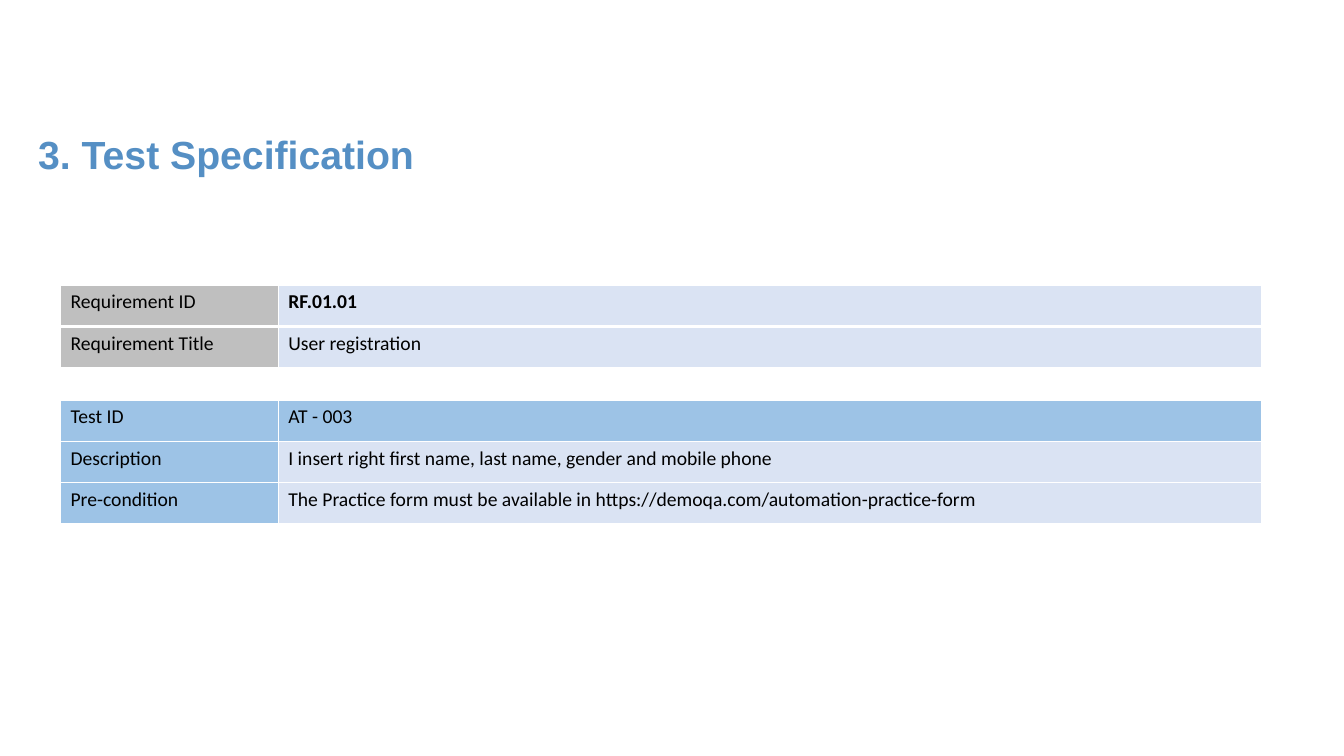
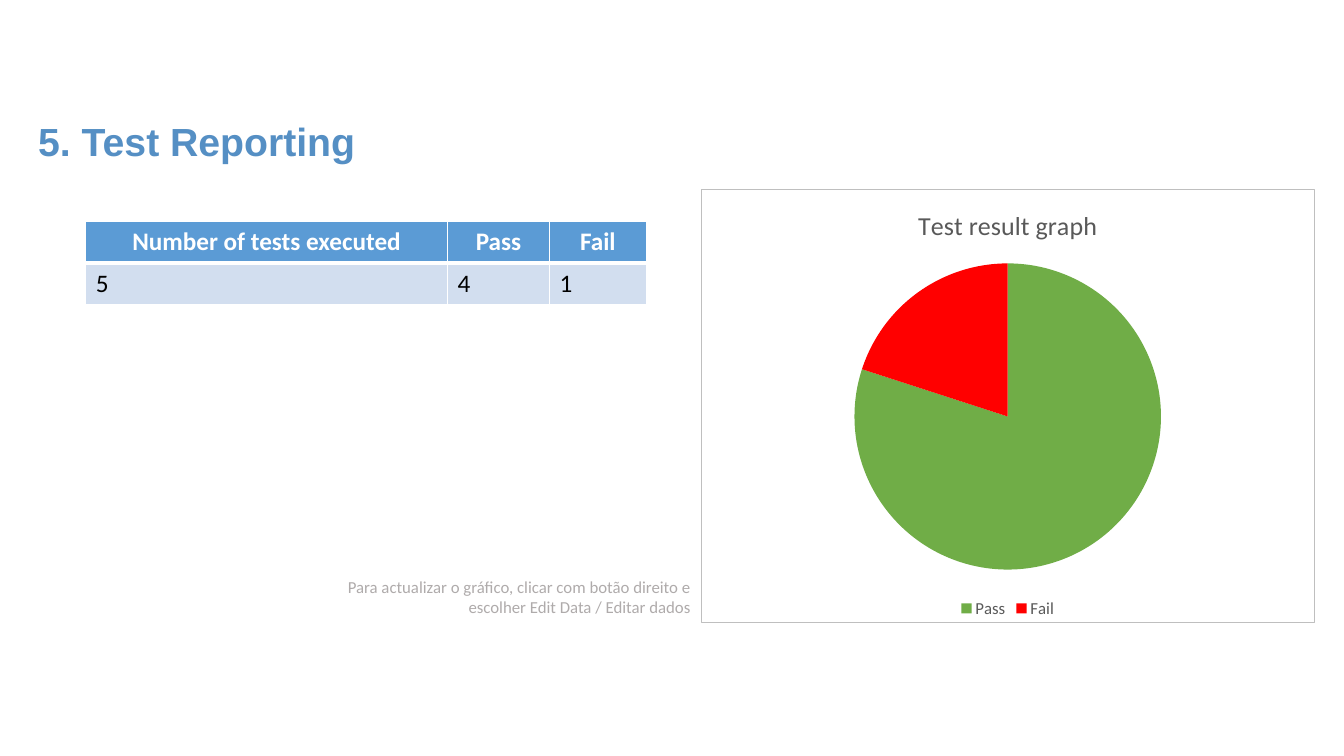
from lxml.etree import SubElement
from pptx import Presentation
from pptx.chart.data import CategoryChartData
from pptx.dml.color import RGBColor
from pptx.enum.chart import XL_CHART_TYPE, XL_LEGEND_POSITION
from pptx.enum.text import MSO_AUTO_SIZE, PP_ALIGN
from pptx.oxml import parse_xml
from pptx.oxml.ns import nsdecls, qn
from pptx.util import Inches, Pt

COLORS = {
    "title": "558FC4",
    "white": "FFFFFF",
    "black": "000000",
    "requirement": "BFBFBF",
    "test": "9DC3E6",
    "value": "DAE3F3",
    "report_header": "5B9BD5",
    "report_row": "D2DEEF",
    "pass": "70AD47",
    "fail": "FF0000",
    "chart_text": "595959",
    "chart_border": "BFBFBF",
    "hint": "AFABAB",
}
BODY_FONT = "Calibri"
TITLE_FONT = "Arial"
THIN, THICK = 1, 3  # table rules, in points
ROW_HEIGHT = 0.41


def rgb(name):
    return RGBColor.from_string(COLORS[name])


def style_font(font, size, color, name=BODY_FONT, bold=False):
    font.name = name
    font.size = Pt(size)
    font.bold = bold
    font.color.rgb = rgb(color)


def add_text(slide, box, text, size, color, align=PP_ALIGN.LEFT, **font):
    frame = slide.shapes.add_textbox(*map(Inches, box)).text_frame
    frame.word_wrap = True
    frame.auto_size = MSO_AUTO_SIZE.SHAPE_TO_FIT_TEXT
    paragraph = frame.paragraphs[0]
    paragraph.text = text
    paragraph.alignment = align
    style_font(paragraph.font, size, color, **font)


def add_title(slide, top, text):
    add_text(slide, (0.28, top, 7.18, 0.57), text, 28, "title",
             name=TITLE_FONT, bold=True)


def set_borders(cell, top, bottom):
    properties = cell._tc.get_or_add_tcPr()
    for side, width in (("L", THIN), ("R", THIN), ("T", top), ("B", bottom)):
        line = SubElement(properties, qn(f"a:ln{side}"), w=str(Pt(width)))
        fill = SubElement(line, qn("a:solidFill"))
        SubElement(fill, qn("a:srgbClr"), val=COLORS["white"])


def add_plain_table(slide, left, top, widths, heights):
    """Add an unbanded table with a thick white rule under its first row."""
    table = slide.shapes.add_table(
        len(heights), len(widths), Inches(left), Inches(top),
        Inches(sum(widths)), Inches(sum(heights))).table
    table.first_row = table.horz_banding = False
    for column, width in zip(table.columns, widths):
        column.width = Inches(width)
    for index, (row, height) in enumerate(zip(table.rows, heights)):
        row.height = Inches(height)
        for cell in row.cells:
            set_borders(cell, THICK if index == 1 else THIN,
                        THICK if index == 0 else THIN)
            cell.fill.background()
    return table


def fill_cell(cell, text, fill, size, color="black", bold=False,
              align=PP_ALIGN.LEFT):
    cell.fill.solid()
    cell.fill.fore_color.rgb = rgb(fill)
    paragraph = cell.text_frame.paragraphs[0]
    paragraph.text = text
    paragraph.alignment = align
    style_font(paragraph.font, size, color, bold=bold)


def add_specification_table(slide):
    # None is the gap between the requirement and its test
    rows = [
        ("Requirement ID", "RF.01.01", "requirement", "value"),
        ("Requirement Title", "User registration", "requirement", "value"),
        None,
        ("Test ID", "AT - 003", "test", "test"),
        ("Description",
         "I insert right first name, last name, gender and mobile phone",
         "test", "value"),
        ("Pre-condition",
         "The Practice form must be available in "
         "https://demoqa.com/automation-practice-form", "test", "value"),
    ]
    heights = [ROW_HEIGHT if row else 0.32 for row in rows]
    table = add_plain_table(slide, 0.6, 2.83, (2.16, 9.75), heights)
    for index, row in enumerate(rows):
        label_cell, value_cell = table.rows[index].cells
        if row is None:
            for cell in (label_cell, value_cell):
                cell.margin_top = cell.margin_bottom = 0
            continue
        label, value, label_fill, value_fill = row
        fill_cell(label_cell, label, label_fill, 14)
        fill_cell(value_cell, value, value_fill, 14, bold=index == 0)


def add_report_table(slide):
    results = [("Number of tests executed", "5"), ("Pass", "4"), ("Fail", "1")]
    table = add_plain_table(slide, 0.85, 2.2, (3.59, 1.01, 0.96),
                            [ROW_HEIGHT] * 2)
    for column, (heading, count) in enumerate(results):
        fill_cell(table.cell(0, column), heading, "report_header", 18,
                  "white", bold=True, align=PP_ALIGN.CENTER)
        fill_cell(table.cell(1, column), count, "report_row", 18)


def add_result_chart(slide):
    data = CategoryChartData()
    data.categories = ["Pass", "Fail"]
    data.add_series("Series 1", (80, 20))
    chart = slide.shapes.add_chart(
        XL_CHART_TYPE.PIE, *map(Inches, (6.95, 1.87, 6.09, 4.31)), data).chart
    style_font(chart.font, 10, "black")

    # Title and legend
    chart.has_title = True
    heading = chart.chart_title.text_frame.paragraphs[0]
    heading.text = "Test result graph"
    style_font(heading.font, 18.6, "chart_text")
    chart.chart_title.include_in_layout = False
    chart.has_legend = True
    chart.legend.position = XL_LEGEND_POSITION.BOTTOM
    chart.legend.include_in_layout = False
    style_font(chart.legend.font, 12, "chart_text")

    # Slices
    pie = chart.plots[0]
    pie.vary_by_categories = True
    for index, color in enumerate(("pass", "fail")):
        slice_fill = pie.series[0].points[index].format.fill
        slice_fill.solid()
        slice_fill.fore_color.rgb = rgb(color)

    # Plot position, as fractions of the chart
    plot_area = chart._chartSpace.chart.plotArea
    for old_layout in plot_area.findall(qn("c:layout")):
        plot_area.remove(old_layout)
    plot_area.insert(0, parse_xml(
        f'<c:layout {nsdecls("c")}><c:manualLayout>'
        '<c:layoutTarget val="inner"/>'
        '<c:xMode val="edge"/><c:yMode val="edge"/>'
        '<c:x val="0.25"/><c:y val="0.17"/>'
        '<c:w val="0.5"/><c:h val="0.71"/>'
        '</c:manualLayout></c:layout>'))

    # Frame around the chart
    chart._chartSpace.chart.addnext(parse_xml(
        f'<c:spPr {nsdecls("c", "a")}>'
        f'<a:solidFill><a:srgbClr val="{COLORS["white"]}"/></a:solidFill>'
        f'<a:ln w="{Pt(0.75)}"><a:solidFill>'
        f'<a:srgbClr val="{COLORS["chart_border"]}"/>'
        '</a:solidFill></a:ln></c:spPr>'))


def main():
    presentation = Presentation()
    presentation.slide_width = Inches(13.33)
    presentation.slide_height = Inches(7.5)
    blank = presentation.slide_layouts[6]

    # Test specification
    specification = presentation.slides.add_slide(blank)
    add_title(specification, 1.24, "3. Test Specification")
    add_specification_table(specification)

    # Test reporting
    reporting = presentation.slides.add_slide(blank)
    add_title(reporting, 1.11, "5. Test Reporting")
    add_report_table(reporting)
    add_result_chart(reporting)
    add_text(reporting, (2.91, 5.67, 4.04, 0.5),
             "Para actualizar o gráfico, clicar com botão direito e "
             "escolher Edit Data / Editar dados", 12, "hint",
             align=PP_ALIGN.RIGHT)

    presentation.save("out.pptx")


if __name__ == "__main__":
    main()
